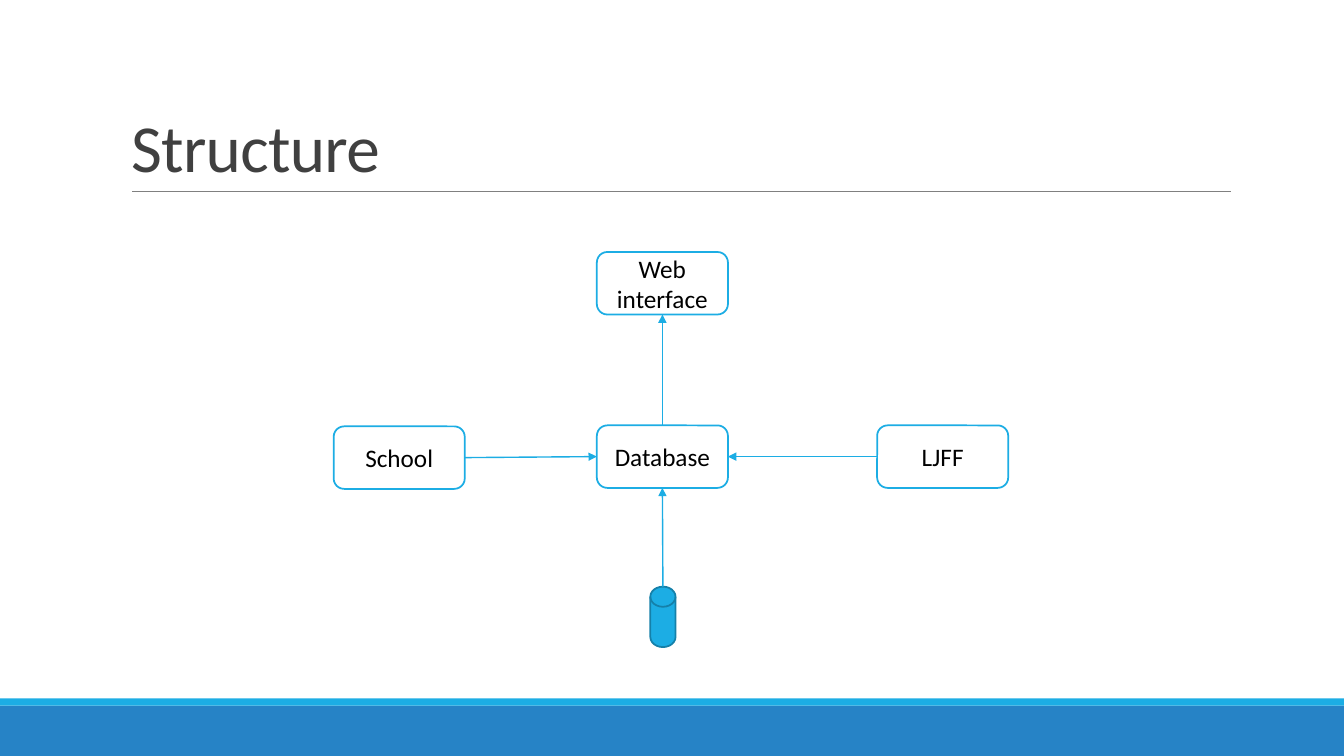
from lxml.etree import SubElement
from pptx import Presentation
from pptx.dml.color import RGBColor
from pptx.enum.shapes import MSO_CONNECTOR, MSO_SHAPE
from pptx.enum.text import MSO_ANCHOR, MSO_AUTO_SIZE, PP_ALIGN
from pptx.oxml.ns import qn
from pptx.util import Inches, Pt

# Content
TITLE = "Structure"
FONT = "Calibri"
BLUE, DARK_BLUE, FOOTER_BLUE = "1CADE4", "1580A9", "2683C6"
BOX_SIZE = (1.3, 0.62)
BOXES = {  # label: (left, top)
    "Database": (5.92, 4.22),
    "Web interface": (5.92, 2.5),
    "School": (3.31, 4.23),
    "LJFF": (8.7, 4.22),
}
DISK = (6.45, 5.82, 0.25, 0.6)
BARS = [((0, 7, 13.33, 0.5), FOOTER_BLUE), ((0, 6.93, 13.33, 0.07), BLUE)]
TOP, LEFT, BOTTOM, RIGHT = range(4)
ARROWS = [  # from box, side, to box, side
    ("Database", TOP, "Web interface", BOTTOM),
    ("LJFF", LEFT, "Database", RIGHT),
    ("School", RIGHT, "Database", LEFT),
]


def color(value):
    return RGBColor.from_string(value)


def add_block(page, kind, place, fill, line=None):
    block = page.shapes.add_shape(kind, *map(Inches, place))
    block.shadow.inherit = False
    block.fill.solid()
    block.fill.fore_color.rgb = color(fill)
    if line:
        block.line.color.rgb = color(line)
        block.line.width = Pt(1.25)
    else:
        block.line.fill.background()
    return block


def add_text(para, text, size, ink):
    span = para.add_run()
    span.text = text
    span.font.name = FONT
    span.font.size = Pt(size)
    span.font.color.rgb = color(ink)
    return span


def add_line(page, start, end, ink, width):
    line = page.shapes.add_connector(
        MSO_CONNECTOR.STRAIGHT, *map(Inches, start + end))
    line.line.color.rgb = color(ink)
    line.line.width = Pt(width)
    return line


def finish_line(line, arrow=True):
    if arrow:
        SubElement(line.line._get_or_add_ln(), qn("a:tailEnd"), type="triangle")
    SubElement(line._element.spPr, qn("a:effectLst"))


def main():
    deck = Presentation()
    deck.slide_width, deck.slide_height = Inches(13.33), Inches(7.5)
    page = deck.slides.add_slide(deck.slide_layouts[5])

    # Footer bars and title rule
    for place, fill in BARS:
        add_block(page, MSO_SHAPE.RECTANGLE, place, fill)
    rule = add_line(page, (1.31, 1.9), (12.21, 1.9), "808080", 0.5)
    finish_line(rule, arrow=False)

    # Title
    title = page.shapes.title
    title.left, title.top, title.width, title.height = map(
        Inches, (1.2, 0.31, 11, 1.59))
    frame = title.text_frame
    frame.word_wrap = True
    frame.auto_size = MSO_AUTO_SIZE.NONE
    frame.vertical_anchor = MSO_ANCHOR.BOTTOM
    para = frame.paragraphs[0]
    para.alignment = PP_ALIGN.LEFT
    para.line_spacing = 0.85
    span = add_text(para, TITLE, 48, "404040")
    span.font._element.set("spc", "-50")

    # Storage disk and labelled boxes
    add_block(page, MSO_SHAPE.FLOWCHART_MAGNETIC_DISK, DISK, BLUE, DARK_BLUE)
    boxes = {}
    for label, corner in BOXES.items():
        box = add_block(page, MSO_SHAPE.ROUNDED_RECTANGLE,
                        corner + BOX_SIZE, "FFFFFF", BLUE)
        box.text_frame.word_wrap = True
        box.text_frame.vertical_anchor = MSO_ANCHOR.MIDDLE
        para = box.text_frame.paragraphs[0]
        para.alignment = PP_ALIGN.CENTER
        add_text(para, label, 18, "000000")
        boxes[label] = box

    # Arrows between boxes
    for source, source_side, target, target_side in ARROWS:
        arrow = add_line(page, BOXES[source], BOXES[target], BLUE, 1)
        arrow.begin_connect(boxes[source], source_side)
        arrow.end_connect(boxes[target], target_side)
        finish_line(arrow)

    # Arrow from the top of the disk
    disk_top = (DISK[0] + DISK[2] / 2, DISK[1])
    arrow = add_line(page, disk_top, BOXES["Database"], BLUE, 1)
    arrow.end_connect(boxes["Database"], BOTTOM)
    finish_line(arrow)

    deck.save("out.pptx")


if __name__ == "__main__":
    main()
